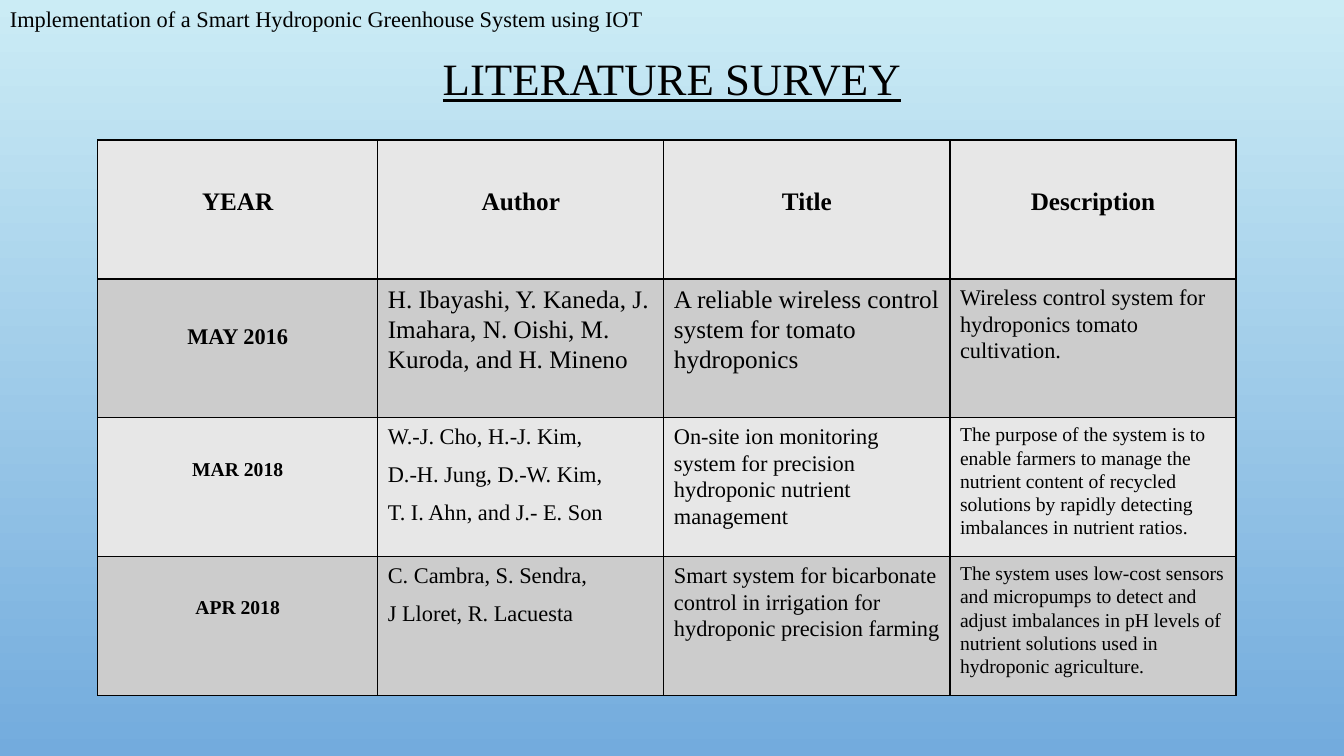
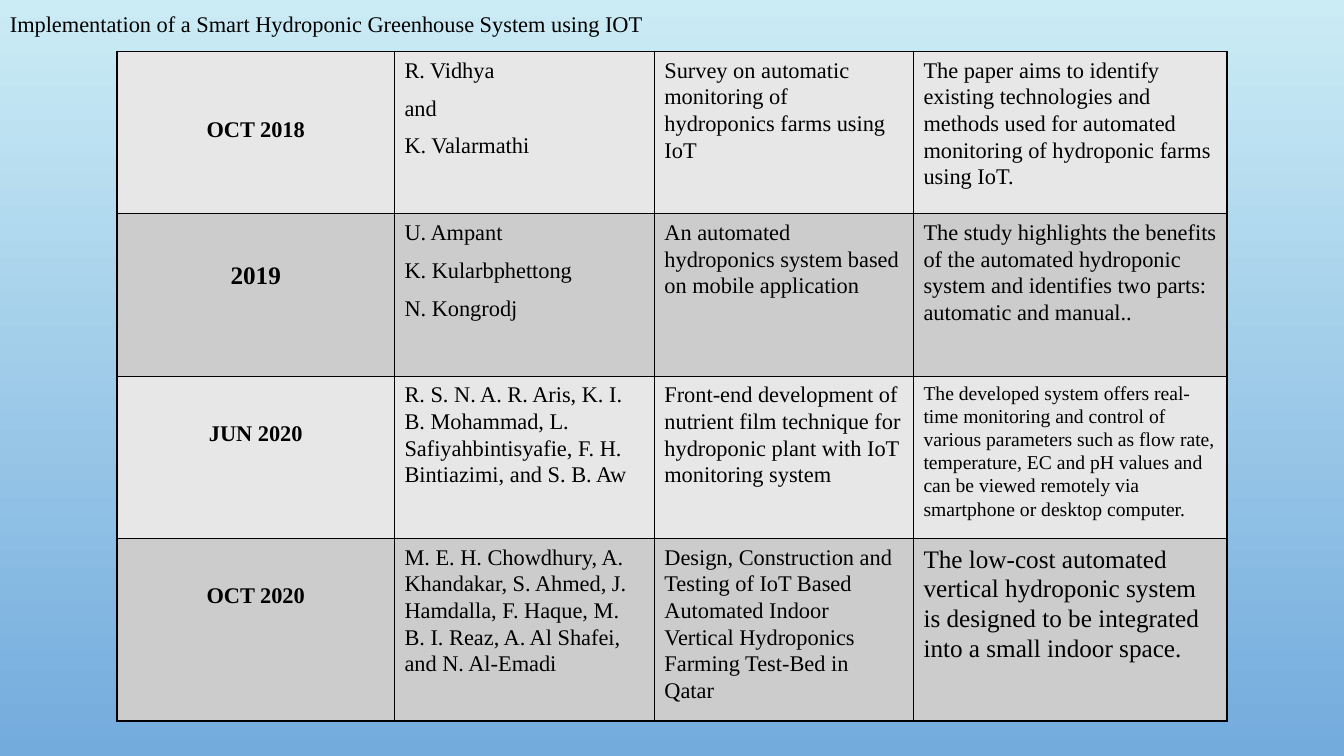
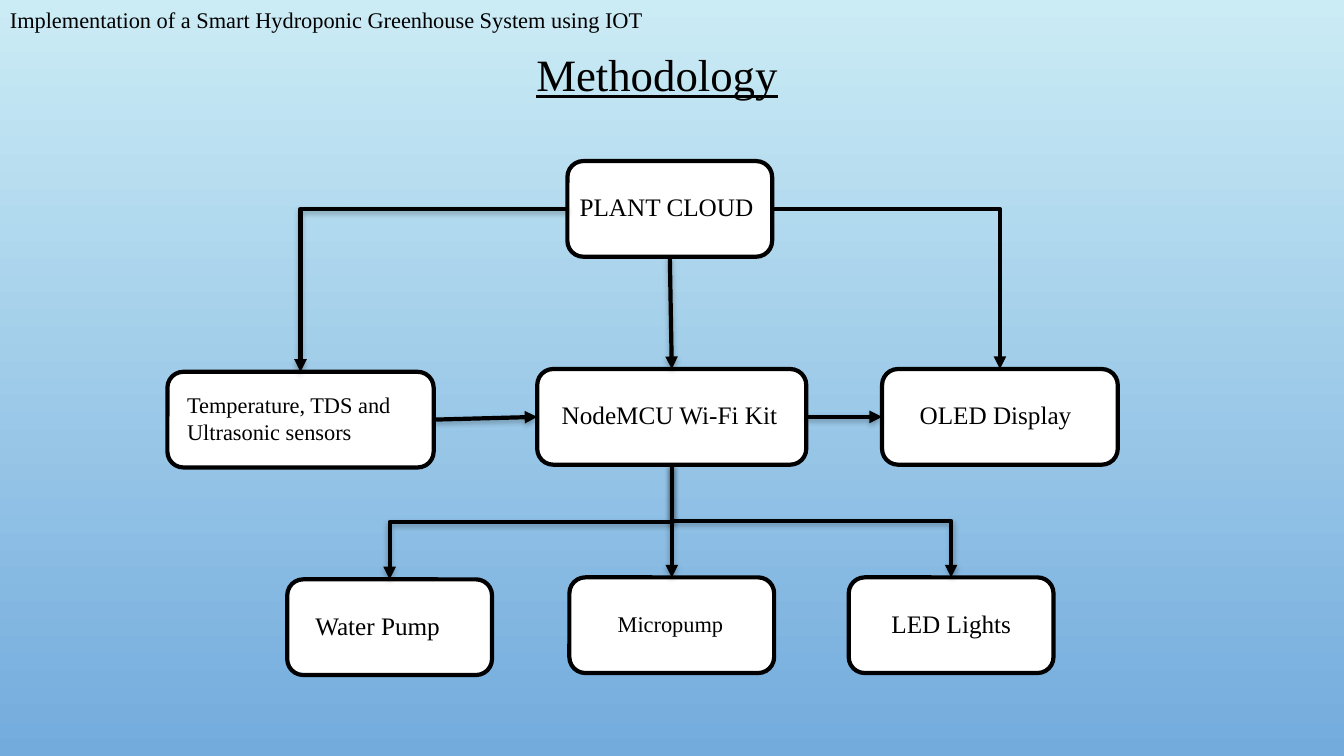
from dataclasses import dataclass

from lxml import etree
from pptx import Presentation
from pptx.dml.color import RGBColor
from pptx.enum import shapes, text
from pptx.oxml import ns
from pptx.util import Cm, Pt


@dataclass(frozen=True)
class Theme:
    font: str = "Times New Roman"
    ink: str = "000000"
    node: str = "FFFFFF"
    sky_top: str = "CBECF5"
    sky_bottom: str = "73ABDD"
    bands: tuple = ("E7E7E7", "CCCCCC")
    title: int = 32
    large: int = 18
    normal: int = 16
    small: int = 14
    border: float = 1
    stroke: float = 3


THEME = Theme()
LARGE, NORMAL, SMALL = THEME.large, THEME.normal, THEME.small
PROJECT = "Implementation of a Smart Hydroponic Greenhouse System using IOT"
NODE_HEIGHT = 2.41
TITLE_ONLY, BLANK = 5, 6


@dataclass
class Study:
    """One table row; year_drop is the space in points above the year."""
    cells: tuple
    sizes: tuple = (NORMAL, NORMAL, NORMAL, NORMAL)
    heading: bool = False
    year_drop: float = 0


EARLY_STUDIES = [
    Study(("YEAR", "Author", "Title", "Description"), (LARGE,) * 4, heading=True),
    Study(("MAY 2016",
           "H. Ibayashi, Y. Kaneda, J. Imahara, N. Oishi, M. Kuroda, and H. Mineno",
           "A reliable wireless control system for tomato hydroponics",
           "Wireless control system for hydroponics tomato cultivation."),
          (NORMAL, LARGE, LARGE, NORMAL)),
    Study(("MAR 2018",
           "W.-J. Cho, H.-J. Kim,\nD.-H. Jung, D.-W. Kim,\nT. I. Ahn, and J.- E. Son",
           "On-site ion monitoring system for precision hydroponic nutrient management",
           "The purpose of the system is to enable farmers to manage the nutrient content "
           "of recycled solutions by rapidly detecting imbalances in nutrient ratios."),
          (SMALL, NORMAL, NORMAL, SMALL)),
    Study(("APR 2018",
           "C. Cambra, S. Sendra,\nJ Lloret, R. Lacuesta",
           "Smart system for bicarbonate control in irrigation for hydroponic precision farming",
           "The system uses low-cost sensors and micropumps to detect and adjust imbalances "
           "in pH levels of nutrient solutions used in hydroponic agriculture."),
          (SMALL, NORMAL, NORMAL, SMALL)),
]
LATER_STUDIES = [
    Study(("OCT 2018",
           "R. Vidhya\nand\nK. Valarmathi",
           "Survey on automatic monitoring of hydroponics farms using IoT",
           "The paper aims to identify existing technologies and methods used for automated "
           "monitoring of hydroponic farms using IoT."),
          year_drop=46),
    Study(("2019",
           "U. Ampant\nK. Kularbphettong\nN. Kongrodj",
           "An automated hydroponics system based on mobile application",
           "The study highlights the benefits of the automated hydroponic system and "
           "identifies two parts: automatic and manual.."),
          (LARGE, NORMAL, NORMAL, NORMAL)),
    Study(("JUN 2020",
           "R. S. N. A. R. Aris, K. I. B. Mohammad, L. Safiyahbintisyafie, F. H. Bintiazimi, "
           "and S. B. Aw",
           "Front-end development of nutrient film technique for hydroponic plant with IoT "
           "monitoring system",
           "The developed system offers real-time monitoring and control of various parameters "
           "such as flow rate, temperature, EC and pH values and can be viewed remotely via "
           "smartphone or desktop computer."),
          (NORMAL, NORMAL, NORMAL, SMALL)),
    Study(("OCT 2020",
           "M. E. H. Chowdhury, A. Khandakar, S. Ahmed, J. Hamdalla, F. Haque, M. B. I. Reaz, "
           "A. Al Shafei, and N. Al-Emadi",
           "Design, Construction and Testing of IoT Based Automated Indoor Vertical "
           "Hydroponics Farming Test-Bed in Qatar",
           "The low-cost automated vertical hydroponic system is designed to be integrated "
           "into a small indoor space."),
          (NORMAL, NORMAL, NORMAL, LARGE)),
]

# left, top, width, label indent (cm), label, type size
NODES = {
    "cloud": (14.3, 4.06, 5.16, 0.19, "PLANT CLOUD", LARGE),
    "sensors": (4.22, 9.37, 6.71, 0.38, "Temperature, TDS and Ultrasonic sensors", NORMAL),
    "controller": (13.54, 9.3, 6.78, 0.5, "NodeMCU Wi-Fi Kit", LARGE),
    "display": (22.23, 9.3, 5.94, 0.83, "OLED Display", LARGE),
    "pump": (7.24, 14.6, 5.16, 0.59, "Water Pump", LARGE),
    "micropump": (14.35, 14.55, 5.16, 1.1, "Micropump", NORMAL),
    "lights": (21.39, 14.55, 5.16, 0.96, "LED Lights", LARGE),
}


def rgb(value):
    return RGBColor.from_string(value)


def write(frame, content, size, bold=False, underline=False,
          align=text.PP_ALIGN.LEFT, spacing=None, after=0):
    frame.text = content
    frame.word_wrap = True
    for paragraph in frame.paragraphs:
        paragraph.alignment = align
        paragraph.space_after = Pt(after)
        if spacing:
            paragraph.line_spacing = spacing
        font = paragraph.font
        font.name, font.size = THEME.font, Pt(size)
        font.bold, font.underline = bold, underline
        font.color.rgb = rgb(THEME.ink)


def paint_background(master):
    fill = master.background.fill
    fill.gradient()
    fill.gradient_angle = 270
    for stop, colour in zip(fill.gradient_stops, (THEME.sky_top, THEME.sky_bottom)):
        stop.color.rgb = rgb(colour)


def add_slide(prs, layout, header_top):
    """Add a slide with the project name along its top edge."""
    slide = prs.slides.add_slide(prs.slide_layouts[layout])
    header = slide.shapes.add_textbox(0, Cm(header_top), Cm(18.5), Cm(0.94))
    write(header.text_frame, PROJECT, NORMAL)
    return slide


def set_title(slide, content, left, top, width, height, align):
    title = slide.shapes.title
    title.left, title.top, title.width, title.height = map(Cm, (left, top, width, height))
    frame = title.text_frame
    frame.auto_size = text.MSO_AUTO_SIZE.NONE
    frame.vertical_anchor = text.MSO_ANCHOR.MIDDLE
    write(frame, content, THEME.title, underline=True, align=align, spacing=0.9)


def add_borders(cell):
    properties = cell._tc.get_or_add_tcPr()
    for place, side in enumerate(("lnL", "lnR", "lnT", "lnB")):
        line = etree.Element(ns.qn(f"a:{side}"), w=str(Pt(THEME.border)))
        fill = etree.SubElement(line, ns.qn("a:solidFill"))
        etree.SubElement(fill, ns.qn("a:srgbClr"), val=THEME.ink)
        properties.insert(place, line)


def add_studies(slide, studies, left, top, widths, row_height):
    table = slide.shapes.add_table(
        len(studies), len(widths), Cm(left), Cm(top),
        Cm(sum(widths)), Cm(row_height * len(studies))).table
    table.first_row = table.horz_banding = False
    for column, width in zip(table.columns, widths):
        column.width = Cm(width)
    for index, (row, study) in enumerate(zip(table.rows, studies)):
        row.height = Cm(row_height)
        for place, (cell, content, size) in enumerate(zip(row.cells, study.cells, study.sizes)):
            label = study.heading or place == 0
            cell.fill.solid()
            cell.fill.fore_color.rgb = rgb(THEME.bands[index % 2])
            add_borders(cell)
            if label:
                cell.margin_top = Pt(study.year_drop or round(size * 1.23 + 11))
            align = text.PP_ALIGN.CENTER if label else text.PP_ALIGN.LEFT
            write(cell.text_frame, content, size, bold=label, align=align,
                  spacing=1.07, after=8)


def add_node(slide, left, top, width, indent, label, size):
    node = slide.shapes.add_shape(
        shapes.MSO_SHAPE.ROUNDED_RECTANGLE, Cm(left), Cm(top), Cm(width), Cm(NODE_HEIGHT))
    node.shadow.inherit = False
    node.fill.solid()
    node.fill.fore_color.rgb = rgb(THEME.node)
    node.line.color.rgb = rgb(THEME.ink)
    node.line.width = Pt(THEME.stroke)
    frame = node.text_frame
    frame.margin_left, frame.margin_right = Cm(indent), 0
    frame.margin_top, frame.margin_bottom = 0, Cm(0.1)
    frame.vertical_anchor = text.MSO_ANCHOR.MIDDLE
    write(frame, label, size)
    return node


def style_arrow(arrow, shadow=True):
    arrow.line.color.rgb = rgb(THEME.ink)
    arrow.line.width = Pt(THEME.stroke)
    etree.SubElement(arrow.line._get_or_add_ln(), ns.qn("a:tailEnd"), type="triangle")
    effects = etree.SubElement(arrow._element.spPr, ns.qn("a:effectLst"))
    if shadow:
        outer = etree.SubElement(effects, ns.qn("a:outerShdw"), blurRad=str(Pt(4)),
                                 dist=str(Pt(2)), dir="5400000", rotWithShape="0")
        colour = etree.SubElement(outer, ns.qn("a:srgbClr"), val=THEME.ink)
        etree.SubElement(colour, ns.qn("a:alpha"), val="28000")


def add_straight(slide, source, source_side, target, target_side):
    arrow = slide.shapes.add_connector(shapes.MSO_CONNECTOR.STRAIGHT, 0, 0, 0, 0)
    arrow.begin_connect(source, source_side)
    arrow.end_connect(target, target_side)
    style_arrow(arrow)


def add_corner(slide, source, target, shadow=True):
    """Leave the source sideways, then drop onto the target."""
    target_x = target.left + target.width // 2
    start_x = source.left if target_x < source.left else source.left + source.width
    arrow = slide.shapes.add_connector(
        shapes.MSO_CONNECTOR.ELBOW, start_x, source.top + source.height // 2,
        target_x, target.top)
    arrow._element.spPr.find(ns.qn("a:prstGeom")).set("prst", "bentConnector2")
    style_arrow(arrow, shadow)


def add_branch(slide, source, target):
    """Leave the source downwards, cross over halfway, then drop onto the target.

    The elbow is laid out sideways about its centre and turned by 90 degrees.
    """
    start_x, start_y = source.left + source.width // 2, source.top + source.height
    end_x, end_y = target.left + target.width // 2, target.top
    centre_x, centre_y = (start_x + end_x) // 2, (start_y + end_y) // 2
    half_drop, half_run = (end_y - start_y) // 2, (end_x - start_x) // 2
    arrow = slide.shapes.add_connector(
        shapes.MSO_CONNECTOR.ELBOW, centre_x - half_drop, centre_y + half_run,
        centre_x + half_drop, centre_y - half_run)
    arrow._element.spPr.find(ns.qn("a:xfrm")).set("rot", "5400000")
    style_arrow(arrow)


def add_methodology(slide):
    nodes = {key: add_node(slide, *values) for key, values in NODES.items()}
    cloud, controller = nodes["cloud"], nodes["controller"]
    add_straight(slide, cloud, 2, controller, 0)
    add_straight(slide, nodes["sensors"], 3, controller, 1)
    add_straight(slide, controller, 3, nodes["display"], 1)
    add_straight(slide, controller, 2, nodes["micropump"], 0)
    for key in ("pump", "lights"):
        add_branch(slide, controller, nodes[key])
    add_corner(slide, cloud, nodes["sensors"])
    add_corner(slide, cloud, nodes["display"], shadow=False)


def main():
    prs = Presentation()
    prs.slide_width, prs.slide_height = Cm(33.87), Cm(19.05)
    paint_background(prs.slide_master)

    survey = add_slide(prs, TITLE_ONLY, 0)
    set_title(survey, "LITERATURE SURVEY", 2.33, 0.2, 29.21, 3.68, text.PP_ALIGN.CENTER)
    add_studies(survey, EARLY_STUDIES, 2.46, 3.53, (7.06, 7.21, 7.21, 7.21), 3.5)

    survey_continued = add_slide(prs, BLANK, 0.13)
    add_studies(survey_continued, LATER_STUDIES, 2.95, 1.3, (6.99, 6.55, 6.53, 7.9), 4.09)

    methodology = add_slide(prs, TITLE_ONLY, 0.03)
    set_title(methodology, "Methodology", 13.26, 1.13, 7.24, 1.63, text.PP_ALIGN.LEFT)
    add_methodology(methodology)

    prs.save("out.pptx")


if __name__ == "__main__":
    main()
